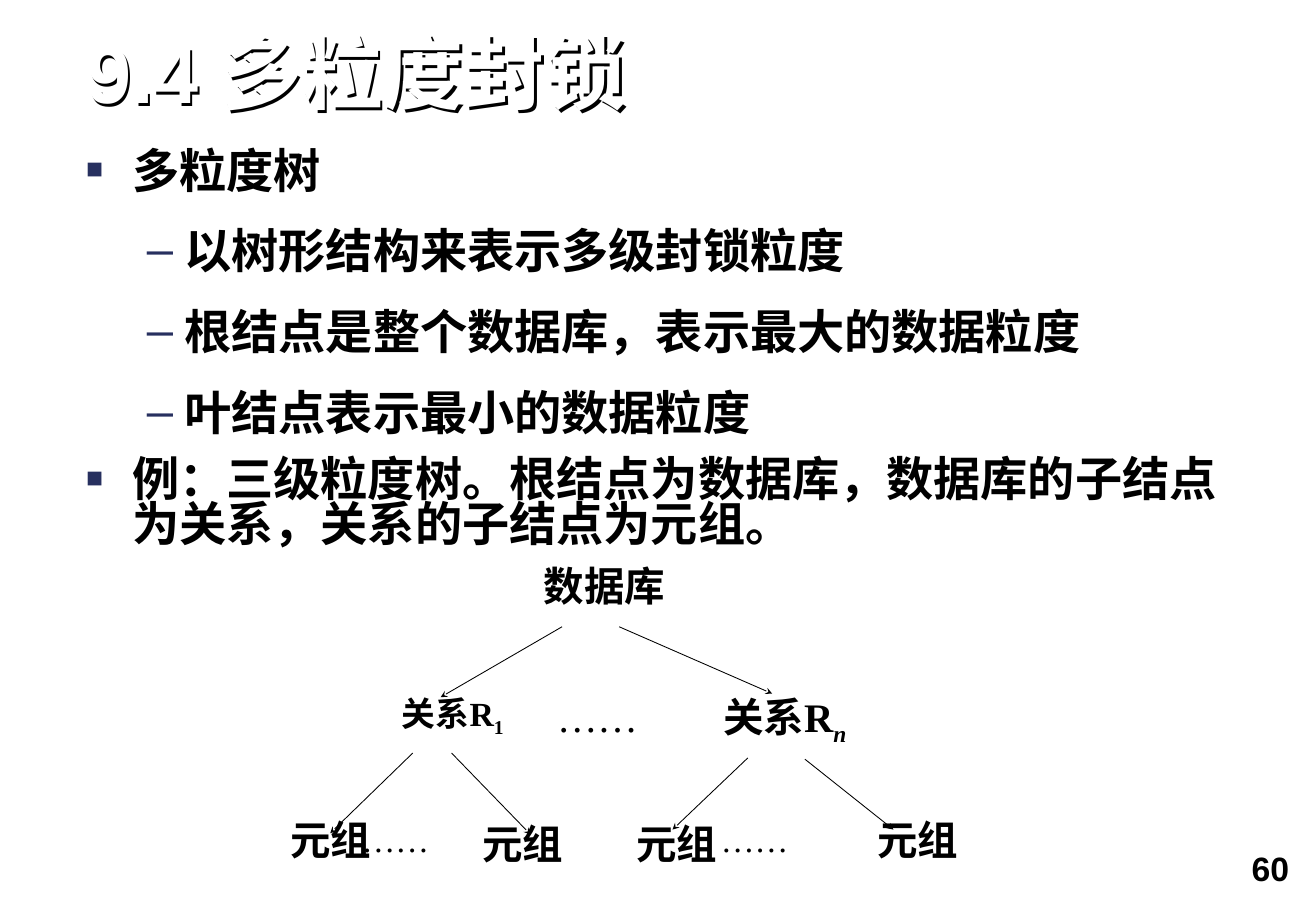
import pptx
import pptx.util
import pptx.dml.color
import pptx.enum.text
import pptx.enum.shapes
import pptx.oxml
import pptx.oxml.ns

Inches = pptx.util.Inches
Pt = pptx.util.Pt
ALIGN = pptx.enum.text.PP_ALIGN
ANCHOR = pptx.enum.text.MSO_ANCHOR

THEME = {
    "ink": "000000", "paper": "FFFFFF", "bullet": "27305F",
    "sans": "Arial", "serif": "Times New Roman",
    "title": 48, "body": 28, "node": 24, "small": 20,
}
LEVELS = [
    {"marL": 0.38, "indent": -0.38, "char": "■", "size": 60, "before": 12.2},
    {"marL": 0.81, "indent": -0.31, "char": "–", "size": 100, "before": 21},
]
POINTS = [
    (0, "多粒度树"),
    (1, "以树形结构来表示多级封锁粒度"),
    (1, "根结点是整个数据库，表示最大的数据粒度"),
    (1, "叶结点表示最小的数据粒度"),
    (0, "例：三级粒度树。根结点为数据库，数据库的子结点为关系，关系的子结点为元组。"),
]
NODES = [
    ((2.09, 0, 1.56, 0.64), "数据库", "", "node"),
    ((3.56, 1.05, 1.59, 0.57), "关系R", "n", "node"),
    ((0.71, 1.05, 1.82, 0.91), "关系R", "1", "small"),
    ((0, 2.09, 1.23, 0.59), "元组", "", "node"),
    ((4.67, 2.09, 1.56, 0.66), "元组", "", "node"),
    ((1.58, 2.12, 1.23, 0.59), "元组", "", "node"),
    ((2.85, 2.12, 1.23, 0.59), "元组", "", "node"),
]
DOTS = [
    ((2.38, 1.07, 1.59, 0.48), "node"),
    ((3.73, 2.11, 1.59, 0.66), "small"),
    ((0.77, 2.11, 1.59, 0.48), "small"),
]
EDGES = [
    (2.52, 0.56, 1.52, 1.14), (2.99, 0.56, 4.25, 1.11),
    (1.29, 1.6, 0.61, 2.26), (1.61, 1.6, 2.26, 2.27),
    (4.05, 1.64, 3.43, 2.23), (4.52, 1.65, 5.25, 2.23),
]


def element(tag, **attributes):
    """Make a drawing element with attributes."""
    el = pptx.oxml.parse_xml(f"<a:{tag} {pptx.oxml.ns.nsdecls('a')}/>")
    for name, value in attributes.items():
        el.set(name, str(value))
    return el


def set_attributes(obj, values):
    """Set each attribute of an object from a dict."""
    for name, value in values.items():
        setattr(obj, name, value)


def place(sp, box):
    """Move a shape to a box in inches."""
    names = ("left", "top", "width", "height")
    set_attributes(sp, dict(zip(names, map(Inches, box))))


def format_frame(tf, side, top, anchor=ANCHOR.TOP):
    """Set wrapping, anchor and margins of a text frame."""
    set_attributes(tf, {
        "word_wrap": True, "auto_size": pptx.enum.text.MSO_AUTO_SIZE.NONE,
        "vertical_anchor": anchor,
        "margin_left": Inches(side), "margin_right": Inches(side),
        "margin_top": Inches(top), "margin_bottom": Inches(top),
    })


def add_run(p, text, size, font="serif", color="ink", bold=True, italic=None):
    """Add a formatted run to a paragraph."""
    r = p.add_run()
    r.text = text
    set_attributes(r.font, {"size": Pt(THEME[size]), "name": THEME[font],
                            "bold": bold, "italic": italic})
    r.font.color.rgb = pptx.dml.color.RGBColor.from_string(THEME[color])
    return r


def add_label(s, box, align, spacing, side=0.1, top=0.05):
    """Add a text box and return its paragraph."""
    sp = s.shapes.add_textbox(*map(Inches, box))
    format_frame(sp.text_frame, side, top)
    p = sp.text_frame.paragraphs[0]
    set_attributes(p, {"alignment": align, "line_spacing": spacing})
    return p


def build_title(s, box):
    """Fill the title with shadowed white text."""
    sp = s.shapes.title
    place(sp, box)
    sp.fill.background()
    format_frame(sp.text_frame, 0, 0, ANCHOR.BOTTOM)
    p = sp.text_frame.paragraphs[0]
    set_attributes(p, {"alignment": ALIGN.LEFT, "line_spacing": 0.9})
    add_run(p, "9.4 多粒度封锁", "title", "sans", "paper")
    effects = element("effectLst")
    shadow = element("outerShdw", dist=Pt(2), dir=2700000, algn="ctr", rotWithShape=0)
    shadow.append(element("srgbClr", val=THEME["ink"]))
    effects.append(shadow)
    sp._element.spPr.append(effects)


def build_body(s, box):
    """Fill the body with the two-level list."""
    sp = s.placeholders[1]
    place(sp, box)
    tf = sp.text_frame
    format_frame(tf, 0, 0)
    for i, (level, text) in enumerate(POINTS):
        p = tf.paragraphs[0] if i == 0 else tf.add_paragraph()
        style = LEVELS[level]
        pPr = p._p.get_or_add_pPr()
        for name in ("marL", "indent"):
            pPr.set(name, str(Inches(style[name])))
        color = element("buClr")
        color.append(element("srgbClr", val=THEME["bullet"]))
        pPr.extend([color, element("buSzPct", val=style["size"] * 1000),
                    element("buFont", typeface=THEME["sans"]),
                    element("buChar", char=style["char"])])
        set_attributes(p, {"level": level, "alignment": ALIGN.LEFT,
                           "line_spacing": 0.8,
                           "space_before": Pt(style["before"] if i else 0)})
        add_run(p, text, "body")


def build_tree(s, left, top):
    """Draw the granularity tree from its top left corner."""
    for x1, y1, x2, y2 in EDGES:
        line = s.shapes.add_connector(
            pptx.enum.shapes.MSO_CONNECTOR.STRAIGHT,
            *map(Inches, (left + x1, top + y1, left + x2, top + y2)))
        line.line.width = Pt(0.5)
        line.line.color.rgb = pptx.dml.color.RGBColor.from_string(THEME["ink"])
        line.line._get_or_add_ln().append(
            element("tailEnd", type="stealth", w="sm", len="sm"))
        line._element.spPr.append(element("effectLst"))
    for (x, y, w, h), text, index, size in NODES:
        p = add_label(s, (left + x, top + y, w, h), ALIGN.CENTER, 0.96)
        add_run(p, text, size)
        if index:
            r = add_run(p, index, size, italic=index == "n")
            r._r.get_or_add_rPr().set("baseline", "-25000")
    for (x, y, w, h), size in DOTS:
        p = add_label(s, (left + x, top + y, w, h), ALIGN.JUSTIFY, 0.96)
        add_run(p, "……", size, bold=False)


def build_number(s, box):
    """Add the page number."""
    p = add_label(s, box, ALIGN.RIGHT, 1.0, 0.13, 0.06)
    add_run(p, "60", "small", "sans")


def main():
    """Build and save the slide."""
    prs = pptx.Presentation()
    set_attributes(prs, {"slide_width": Inches(10.84), "slide_height": Inches(7.5)})
    s = prs.slides.add_slide(prs.slide_layouts[1])
    build_title(s, (0.71, 0.28, 9.65, 0.72))
    build_body(s, (0.71, 1.25, 9.65, 3.29))
    build_tree(s, 2.11, 4.6)
    build_number(s, (8.01, 6.92, 2.74, 0.58))
    prs.save("out.pptx")


if __name__ == "__main__":
    main()
